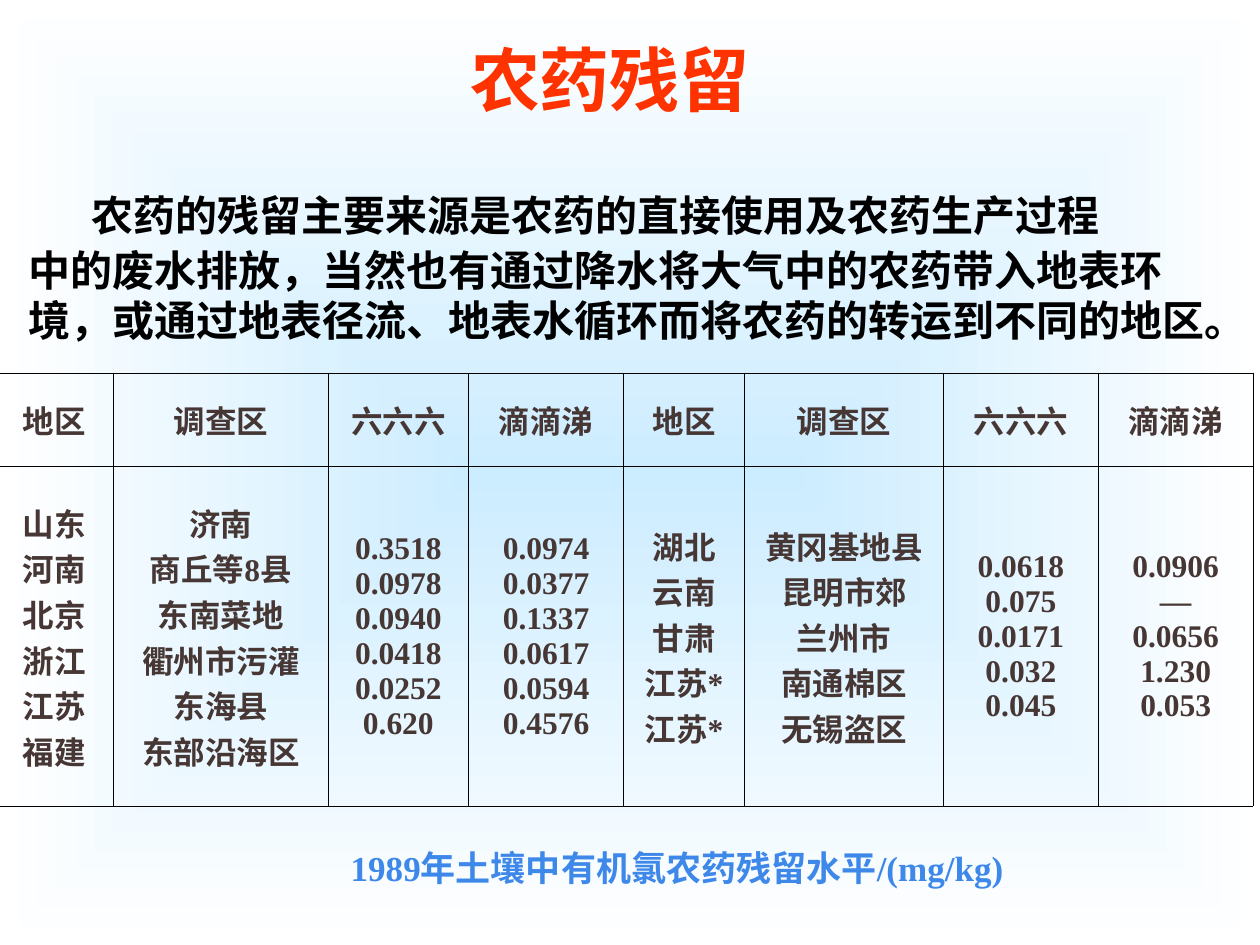
import pptx
import pptx.util
import pptx.dml.color
import pptx.enum.text
import pptx.oxml
import pptx.oxml.ns

Cm, Pt = pptx.util.Cm, pptx.util.Pt
PP_ALIGN, MSO_ANCHOR = pptx.enum.text.PP_ALIGN, pptx.enum.text.MSO_ANCHOR
LATIN, CJK = "Times New Roman", "Noto Sans CJK SC"
NS = pptx.oxml.ns.nsdecls("a", "p")

TITLE = "农药残留"
BODY = [
    "\t农药的残留主要来源是农药的直接使用及农药生产过程",
    "中的废水排放，当然也有通过降水将大气中的农药带入地表环",
    "境，或通过地表径流、地表水循环而将农药的转运到不同的地区。",
]
BODY_SPACING = [62, 26.5, 28.6]
CAPTION = "1989年土壤中有机氯农药残留水平/(mg/kg)"
HEADERS = ["地区", "调查区", "六六六", "滴滴涕"] * 2
COLUMNS = [
    ["山东", "河南", "北京", "浙江", "江苏", "福建"],
    ["济南", "商丘等8县", "东南菜地", "衢州市污灌", "东海县", "东部沿海区"],
    ["0.3518", "0.0978", "0.0940", "0.0418", "0.0252", "0.620"],
    ["0.0974", "0.0377", "0.1337", "0.0617", "0.0594", "0.4576"],
    ["湖北", "云南", "甘肃", "江苏*", "江苏*"],
    ["黄冈基地县", "昆明市郊", "兰州市", "南通棉区", "无锡盗区"],
    ["0.0618", "0.075", "0.0171", "0.032", "0.045"],
    ["0.0906", "—", "0.0656", "1.230", "0.053"],
]
COL_WIDTHS = [2.39, 4.32, 2.84, 3.12, 2.44, 4.01, 3.12, 3.12]
ROW_HEIGHTS = [1.89, 6.84]


def color(value):
    return pptx.dml.color.RGBColor.from_string(value)


def format_run(r, size, hex_color, latin=LATIN):
    r.font.size = Pt(size)
    r.font.bold = True
    r.font.color.rgb = color(hex_color)
    r.font.name = latin
    r.font._element.append(
        pptx.oxml.parse_xml(f'<a:ea {NS} typeface="{CJK}"/>'))


def center_text(tf, text, size, hex_color):
    tf.text = text
    for p in tf.paragraphs:
        p.alignment = PP_ALIGN.CENTER
        for r in p.runs:
            format_run(r, size, hex_color)


def set_background(s):
    s._element.cSld.insert(0, pptx.oxml.parse_xml(
        f'<p:bg {NS}><p:bgPr><a:gradFill rotWithShape="0"><a:gsLst>'
        '<a:gs pos="0"><a:srgbClr val="CCECFF"/></a:gs>'
        '<a:gs pos="100000"><a:srgbClr val="FFFFFF"/></a:gs></a:gsLst>'
        '<a:path path="rect"><a:fillToRect l="50000" t="50000" r="50000" b="50000"/>'
        '</a:path></a:gradFill><a:effectLst/></p:bgPr></p:bg>'))


def place_title(s, left, top, width, height):
    sp = s.shapes.title
    sp.left, sp.top, sp.width, sp.height = left, top, width, height
    sp.text_frame.vertical_anchor = MSO_ANCHOR.MIDDLE
    center_text(sp.text_frame, TITLE, 40, "FF3300")


def add_body(s, left, top, width, height):
    tf = s.shapes.add_textbox(left, top, width, height).text_frame
    tf.word_wrap = False
    tf.auto_size = pptx.enum.text.MSO_AUTO_SIZE.SHAPE_TO_FIT_TEXT
    for i, (line, spacing) in enumerate(zip(BODY, BODY_SPACING)):
        p = tf.paragraphs[0] if i == 0 else tf.add_paragraph()
        p.line_spacing = Pt(spacing)
        # The opening tab is larger than the text after it
        if line.startswith("\t"):
            r = p.add_run()
            r.text = "\t"
            format_run(r, 48, "000000", CJK)
        r = p.add_run()
        r.text = line.lstrip("\t")
        format_run(r, 24, "000000", CJK)


def set_borders(cell):
    tc_pr = cell._tc.get_or_add_tcPr()
    for i, side in enumerate("LRTB"):
        tc_pr.insert(i, pptx.oxml.parse_xml(
            f'<a:ln{side} {NS} w="{Pt(0.45)}"><a:solidFill>'
            f'<a:srgbClr val="000000"/></a:solidFill></a:ln{side}>'))


def add_residue_table(s, left, top):
    width, height = Cm(sum(COL_WIDTHS)), Cm(sum(ROW_HEIGHTS))
    table = s.shapes.add_table(2, len(COLUMNS), left, top, width, height).table
    table.first_row = table.horz_banding = False
    for row, h in zip(table.rows, ROW_HEIGHTS):
        row.height = Cm(h)
    for c, (header, values) in enumerate(zip(HEADERS, COLUMNS)):
        table.columns[c].width = Cm(COL_WIDTHS[c])
        for row, text in enumerate([header, "\n".join(values)]):
            cell = table.cell(row, c)
            cell.vertical_anchor = MSO_ANCHOR.MIDDLE
            cell.fill.background()
            set_borders(cell)
            center_text(cell.text_frame, text, 18, "463634")


def add_caption(s, left, top, width, height):
    tf = s.shapes.add_textbox(left, top, width, height).text_frame
    tf.word_wrap = True
    tf.vertical_anchor = MSO_ANCHOR.MIDDLE
    center_text(tf, CAPTION, 20, "3E88EA")


def main():
    prs = pptx.Presentation()
    prs.slide_width, prs.slide_height = Cm(25.4), Cm(19.05)
    s = prs.slides.add_slide(prs.slide_layouts[5])
    set_background(s)
    place_title(s, Cm(1.5), Cm(0), Cm(21.59), Cm(3.18))
    add_residue_table(s, Cm(-0.1), Cm(7.52))
    add_caption(s, Cm(5.89), Cm(16.92), Cm(15.52), Cm(1.12))
    add_body(s, Cm(0.33), Cm(2.69), Cm(25.04), Cm(4.32))
    prs.save("out.pptx")


if __name__ == "__main__":
    main()
